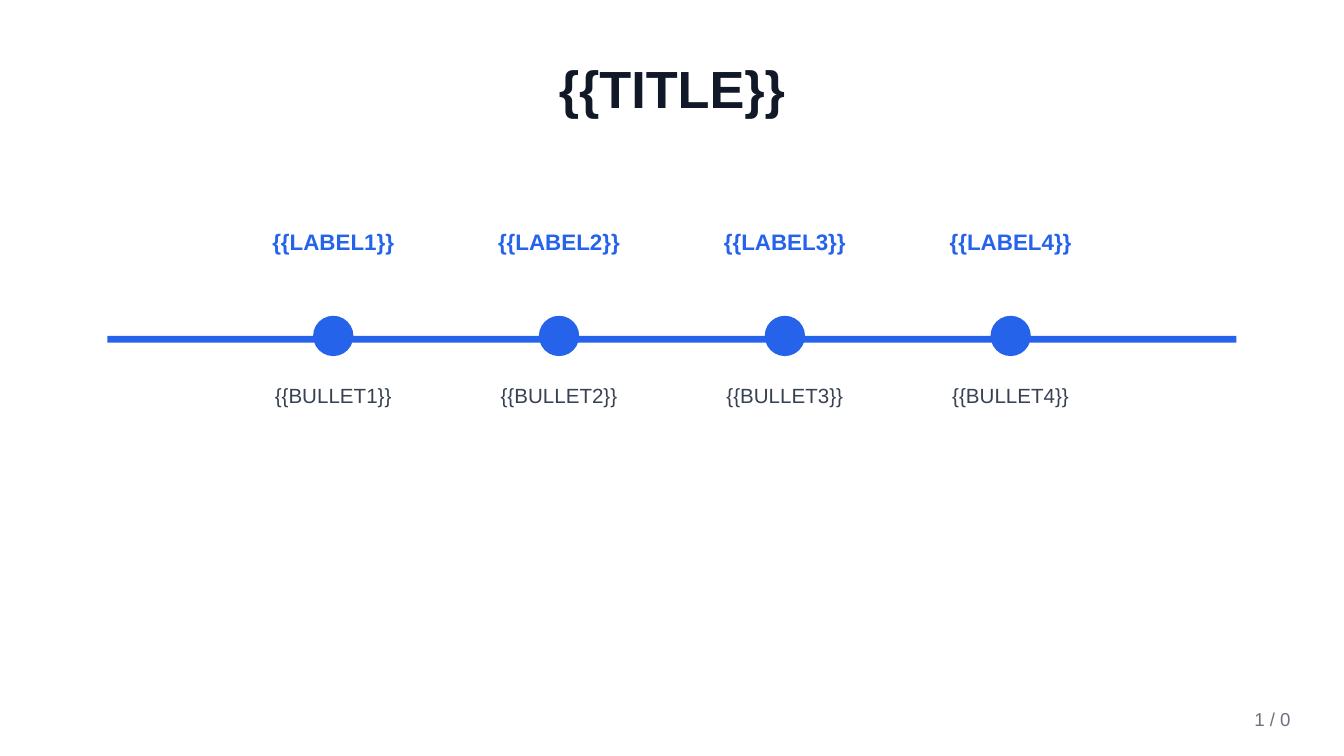
from dataclasses import dataclass

from pptx import Presentation
from pptx.dml.color import RGBColor
from pptx.enum.shapes import MSO_SHAPE
from pptx.enum.text import MSO_ANCHOR, PP_ALIGN
from pptx.slide import Slide
from pptx.util import Inches, Pt

INK = RGBColor(0x11, 0x18, 0x27)
BLUE = RGBColor(0x25, 0x63, 0xEB)
SLATE = RGBColor(0x37, 0x41, 0x51)
GRAY = RGBColor(0x6B, 0x72, 0x80)
FONT = "Arial"

PAGE_WIDTH = 10
PAGE_HEIGHT = PAGE_WIDTH * 9 / 16
LINE_LEFT, LINE_TOP, LINE_WIDTH, LINE_HEIGHT = 0.8, 2.5, 8.4, 0.05
DOT_SIZE = 0.3
COLUMN_WIDTH = 2


@dataclass(frozen=True)
class Area:
    left: float
    top: float
    width: float
    height: float

    def lengths(self) -> tuple[Inches, ...]:
        return tuple(map(Inches, (self.left, self.top, self.width, self.height)))


@dataclass(frozen=True)
class Milestone:
    label: str
    bullet: str


MILESTONES = [
    Milestone("{{LABEL1}}", "{{BULLET1}}"),
    Milestone("{{LABEL2}}", "{{BULLET2}}"),
    Milestone("{{LABEL3}}", "{{BULLET3}}"),
    Milestone("{{LABEL4}}", "{{BULLET4}}"),
]


def add_text(
    page: Slide,
    text: str,
    area: Area,
    *,
    size: float,
    color: RGBColor,
    bold: bool = False,
    align: PP_ALIGN = PP_ALIGN.CENTER,
    anchor: MSO_ANCHOR = MSO_ANCHOR.MIDDLE,
) -> None:
    box = page.shapes.add_textbox(*area.lengths())
    frame = box.text_frame
    frame.word_wrap = True
    frame.vertical_anchor = anchor
    para = frame.paragraphs[0]
    para.alignment = align
    span = para.add_run()
    span.text = text
    span.font.name = FONT
    span.font.size = Pt(size)
    span.font.bold = bold
    span.font.color.rgb = color


def add_solid(page: Slide, kind: MSO_SHAPE, area: Area, color: RGBColor) -> None:
    shape = page.shapes.add_shape(kind, *area.lengths())
    shape.shadow.inherit = False
    shape.fill.solid()
    shape.fill.fore_color.rgb = color
    shape.line.fill.background()


def add_milestone(page: Slide, milestone: Milestone, center: float) -> None:
    dot = Area(center - DOT_SIZE / 2, LINE_TOP - DOT_SIZE / 2, DOT_SIZE, DOT_SIZE)
    add_solid(page, MSO_SHAPE.OVAL, dot, BLUE)
    left = center - COLUMN_WIDTH / 2
    add_text(page, milestone.label, Area(left, 1.5, COLUMN_WIDTH, 0.6),
             size=12, color=BLUE, bold=True)
    add_text(page, milestone.bullet, Area(left, 2.8, COLUMN_WIDTH, 1.5),
             size=11, color=SLATE, anchor=MSO_ANCHOR.TOP)


def main() -> None:
    deck = Presentation()
    deck.slide_width = Inches(PAGE_WIDTH)
    deck.slide_height = Inches(PAGE_HEIGHT)
    page = deck.slides.add_slide(deck.slide_layouts[6])

    add_text(page, "{{TITLE}}", Area(0.5, 0.3, 9, 0.7), size=28, color=INK, bold=True)
    add_solid(page, MSO_SHAPE.RECTANGLE,
              Area(LINE_LEFT, LINE_TOP, LINE_WIDTH, LINE_HEIGHT), BLUE)
    step = LINE_WIDTH / (len(MILESTONES) + 1)
    for position, milestone in enumerate(MILESTONES, start=1):
        add_milestone(page, milestone, LINE_LEFT + position * step)
    add_text(page, "1 / 0", Area(8.5, 5.2, 1.2, 0.3),
             size=10, color=GRAY, align=PP_ALIGN.RIGHT)

    deck.save("out.pptx")


if __name__ == "__main__":
    main()
